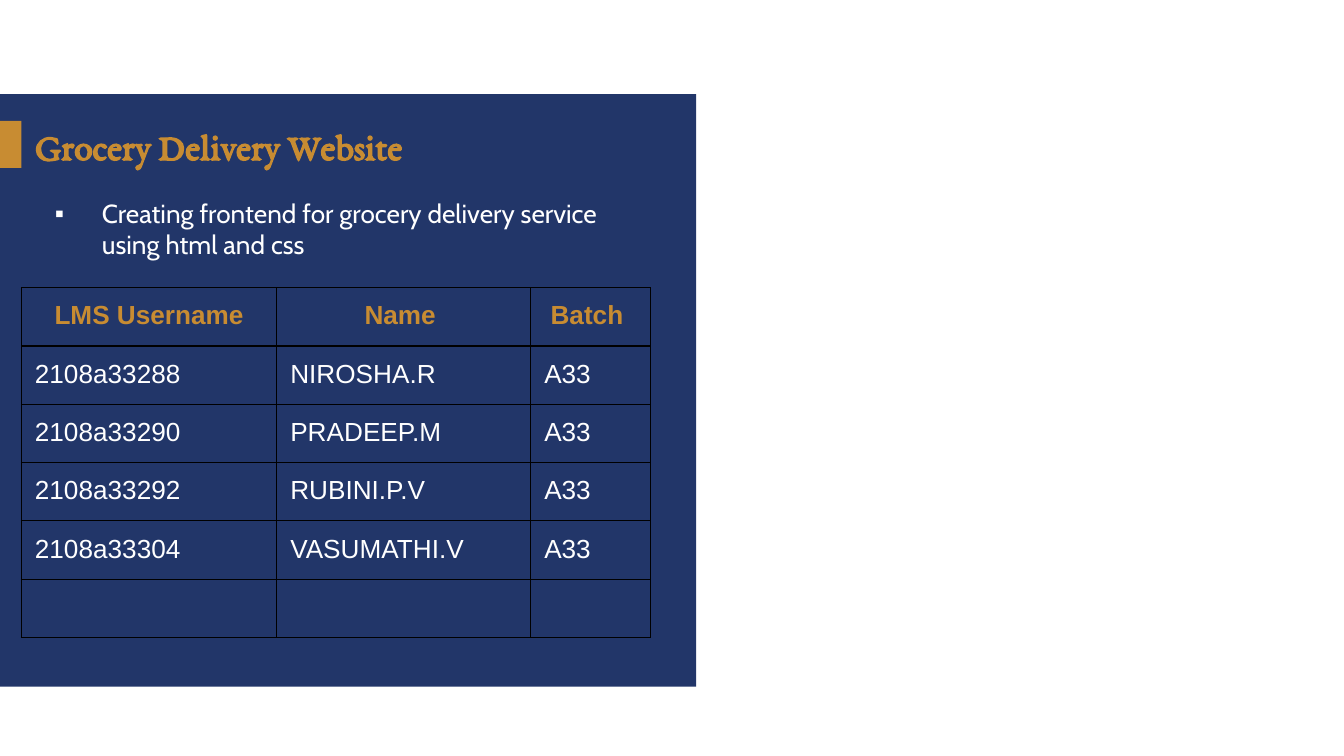
from lxml.etree import SubElement
from pptx import Presentation
from pptx.dml.color import RGBColor
from pptx.enum.shapes import MSO_SHAPE
from pptx.enum.text import MSO_ANCHOR, PP_ALIGN
from pptx.oxml.ns import qn
from pptx.util import Inches, Pt

NAVY, GOLD, WHITE, BLACK = "223669", "C88C32", "FFFFFF", "000000"
TITLE = "Grocery Delivery Website"
POINT = "Creating frontend for grocery delivery service using html and css"
HEAD = ["LMS Username", "Name ", "Batch "]
TEAM = [
    ("2108a33288", "NIROSHA.R"),
    ("2108a33290", "PRADEEP.M"),
    ("2108a33292", "RUBINI.P.V"),
    ("2108a33304", "VASUMATHI.V"),
]
BATCH = "A33"
ROWS = [HEAD] + [(user, name, BATCH) for user, name in TEAM] + [("", "", "")]
PANELS = [((0, 0.7, 5.18, 4.41), NAVY), ((0, 0.9, 0.16, 0.35), GOLD)]
WIDTHS = [1.9, 1.89, 0.89]
HEAD_H, ROW_H, TABLE_H = 0.43, 0, 2.83


def paint(part, color):
    part.solid()
    part.fore_color.rgb = RGBColor.from_string(color)


def style(para, size, face, color, bold=False):
    for run in para.runs:
        font = run.font
        font.size, font.name, font.bold = Pt(size), face, bold
        font.color.rgb = RGBColor.from_string(color)


def add_text(slide, box, text):
    frame = slide.shapes.add_textbox(*map(Inches, box)).text_frame
    frame.word_wrap = True
    frame.text = text
    return frame


def add_bullet(para, mark, color):
    props = para._p.get_or_add_pPr()
    props.set("marL", str(Inches(0.5)))
    props.set("indent", str(Inches(-0.35)))
    tint = SubElement(props, qn("a:buClr"))
    SubElement(tint, qn("a:srgbClr"), val=color)
    SubElement(props, qn("a:buFont"), typeface="Arial")
    SubElement(props, qn("a:buChar"), char=mark)


def add_border(cell, color):
    props = cell._tc.get_or_add_tcPr()
    for spot, side in enumerate(("lnL", "lnR", "lnT", "lnB")):
        line = SubElement(props, qn("a:" + side), w=str(Pt(0.75)))
        fill = SubElement(line, qn("a:solidFill"))
        SubElement(fill, qn("a:srgbClr"), val=color)
        props.remove(line)
        props.insert(spot, line)


def fill_cell(cell, text, head):
    cell.fill.background()
    add_border(cell, BLACK)
    cell.margin_left = cell.margin_right = Inches(0.1)
    cell.margin_top = cell.margin_bottom = Inches(0.1)
    para = cell.text_frame.paragraphs[0]
    para.text = text
    para.alignment = PP_ALIGN.CENTER if head else PP_ALIGN.LEFT
    style(para, 14, "Arial", GOLD if head else WHITE, head)
    end = SubElement(para._p, qn("a:endParaRPr"), sz="1400")
    SubElement(end, qn("a:latin"), typeface="Arial")


def add_roster(slide):
    box = map(Inches, (0.16, 2.14, sum(WIDTHS), TABLE_H))
    roster = slide.shapes.add_table(len(ROWS), len(WIDTHS), *box)
    table = roster.table
    table.first_row = table.horz_banding = False
    for col, width in zip(table.columns, WIDTHS):
        col.width = Inches(width)
    for r, row in enumerate(ROWS):
        table.rows[r].height = Inches(ROW_H if r else HEAD_H)
        for c, text in enumerate(row):
            fill_cell(table.cell(r, c), text, r == 0)
    roster.height = Inches(TABLE_H)


def main():
    deck = Presentation()
    deck.slide_width = Inches(10)
    deck.slide_height = deck.slide_width * 9 // 16
    slide = deck.slides.add_slide(deck.slide_layouts[6])
    paint(slide.background.fill, WHITE)
    for box, color in PANELS:
        panel = slide.shapes.add_shape(MSO_SHAPE.RECTANGLE, *map(Inches, box))
        panel.shadow.inherit = False
        paint(panel.fill, color)
        panel.line.fill.background()
    body = add_text(slide, (0.16, 1.42, 4.75, 3.32), POINT).paragraphs[0]
    add_bullet(body, "▪", WHITE)
    style(body, 14, "Cabin", WHITE)
    title = add_text(slide, (0.16, 0.89, 3.74, 0.38), TITLE)
    title.vertical_anchor = MSO_ANCHOR.MIDDLE
    style(title.paragraphs[0], 20, "EB Garamond", GOLD, True)
    add_roster(slide)
    deck.save("out.pptx")


if __name__ == "__main__":
    main()
